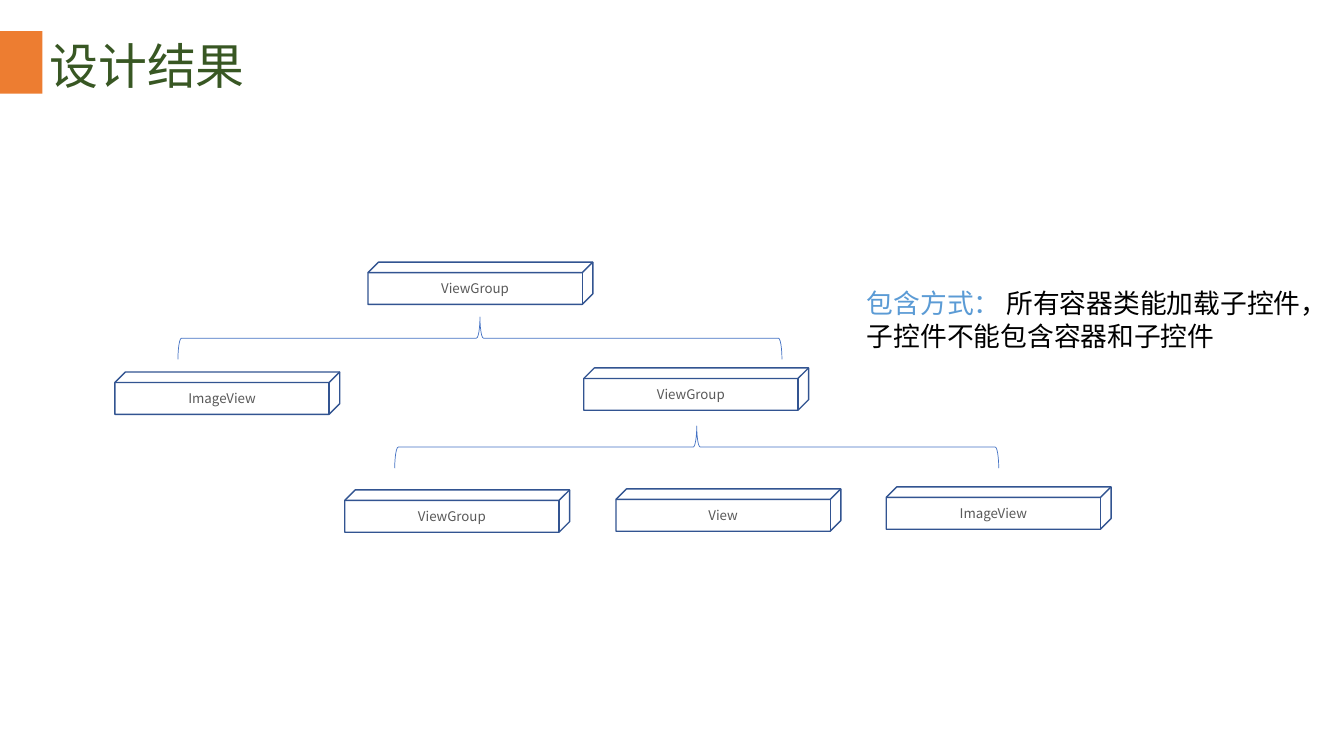
"""Build the slide showing the view containment tree."""
from pptx import Presentation
from pptx.dml.color import RGBColor
from pptx.enum.shapes import MSO_SHAPE as Shape
from pptx.enum.text import MSO_ANCHOR as Anchor, PP_ALIGN as Align
from pptx.oxml.ns import qn
from pptx.util import Inches, Pt
from lxml.etree import SubElement

FONT = "Noto Sans CJK SC"


def color(value):
    return RGBColor.from_string(value)


def add_span(para, text, size, value):
    span = para.add_run()
    span.text = text
    span.font.size = Pt(size)
    span.font.color.rgb = color(value)
    span.font.name = FONT
    SubElement(span.font._element, qn("a:ea")).set("typeface", FONT)


deck = Presentation()
deck.slide_width, deck.slide_height = Inches(13.33), Inches(7.5)
page = deck.slides.add_slide(deck.slide_layouts[6])

accent = page.shapes.add_shape(Shape.RECTANGLE, 0, Inches(0.31), Inches(0.42), Inches(0.62))
accent.shadow.inherit = False
accent.fill.solid()
accent.fill.fore_color.rgb = color("ED7D31")
accent.line.fill.background()

title = page.shapes.add_textbox(Inches(0.42), Inches(0.32), Inches(12.5), Inches(0.64)).text_frame
title.word_wrap = True
title.vertical_anchor = Anchor.MIDDLE
title.margin_left = title.margin_right = Inches(0.07)
title.margin_top = title.margin_bottom = Inches(0.04)
add_span(title.paragraphs[0], "设计结果", 34.9, "385723")

nodes = [
    ("ViewGroup", 3.65, 2.6),
    ("ImageView", 1.14, 3.69),
    ("ViewGroup", 5.79, 3.65),
    ("ViewGroup", 3.42, 4.86),
    ("View", 6.11, 4.85),
    ("ImageView", 8.79, 4.83),
]
for name, left, top in nodes:
    node = page.shapes.add_shape(Shape.CUBE, Inches(left), Inches(top), Inches(2.23), Inches(0.42))
    node.shadow.inherit = False
    node.fill.background()
    node.line.color.rgb = color("325491")
    node.line.width = Pt(1)
    node.text_frame.vertical_anchor = Anchor.MIDDLE
    para = node.text_frame.paragraphs[0]
    para.alignment = Align.CENTER
    add_span(para, name, 9.5, "595959")

for left, top in [(4.55, 0.36), (6.7, 1.44)]:
    brace = page.shapes.add_shape(Shape.LEFT_BRACE, Inches(left), Inches(top), Inches(0.42), Inches(5.99))
    brace.rotation = 90
    brace.shadow.inherit = False
    brace.fill.background()
    brace.line.color.rgb = color("4472C4")
    brace.line.width = Pt(0.5)

note = page.shapes.add_textbox(Inches(8.5), Inches(2.8), Inches(4.52), Inches(0.74)).text_frame
note.word_wrap = True
para = note.paragraphs[0]
add_span(para, "包含方式： ", 19.1, "5B9BD5")
add_span(para, "所有容器类能加载子控件，子控件不能包含容器和子控件", 19.1, "000000")

deck.save("out.pptx")
